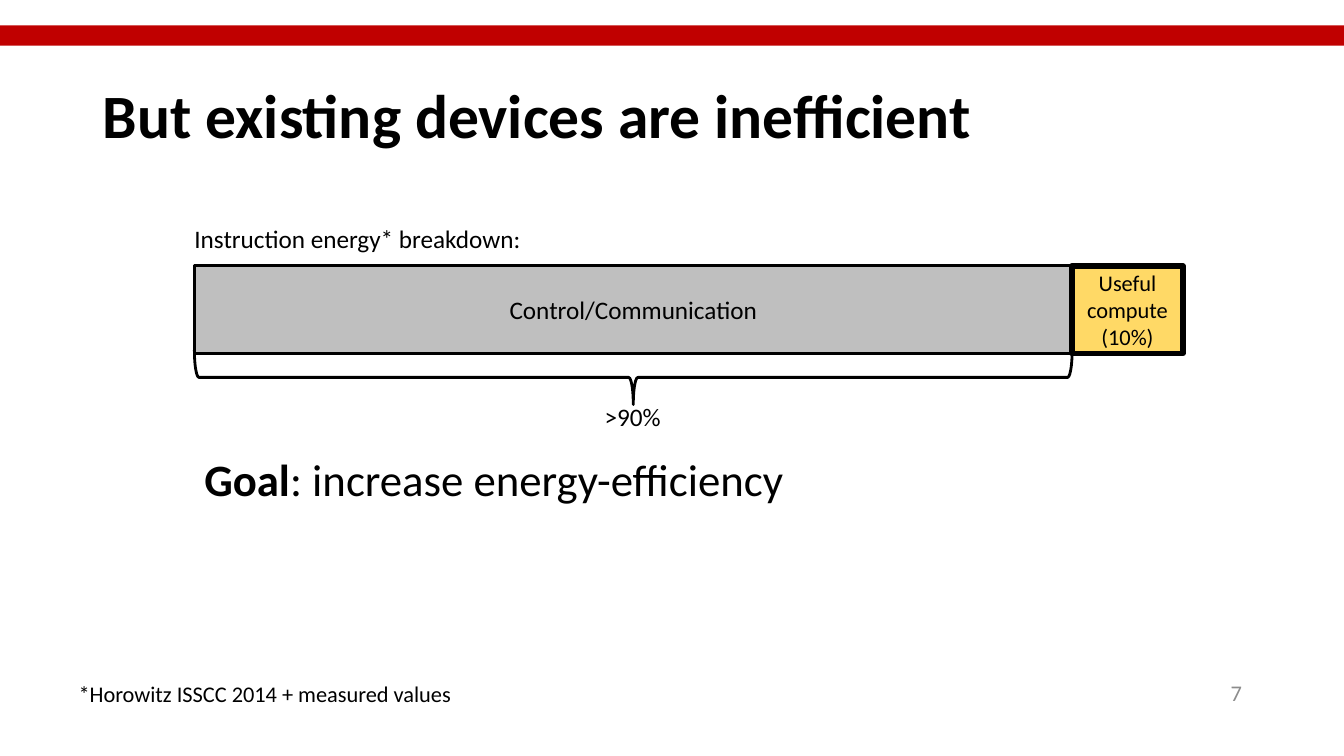
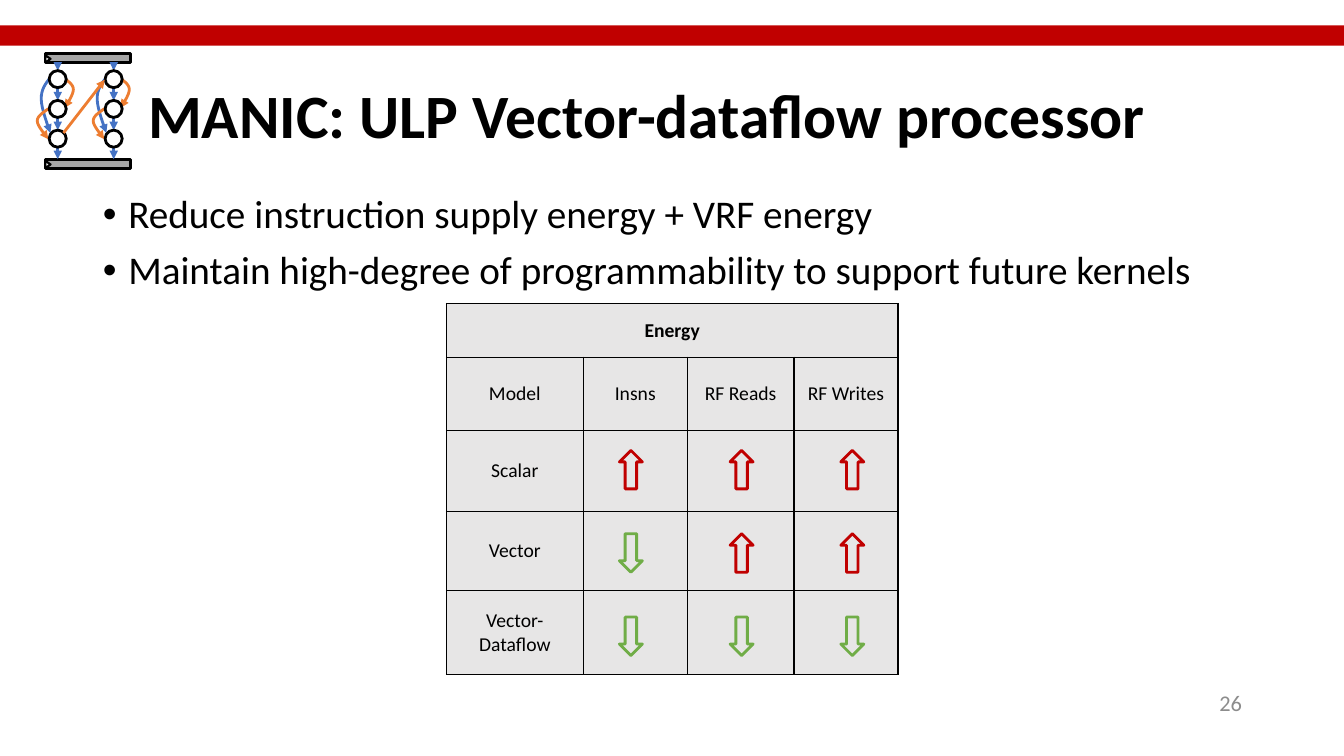
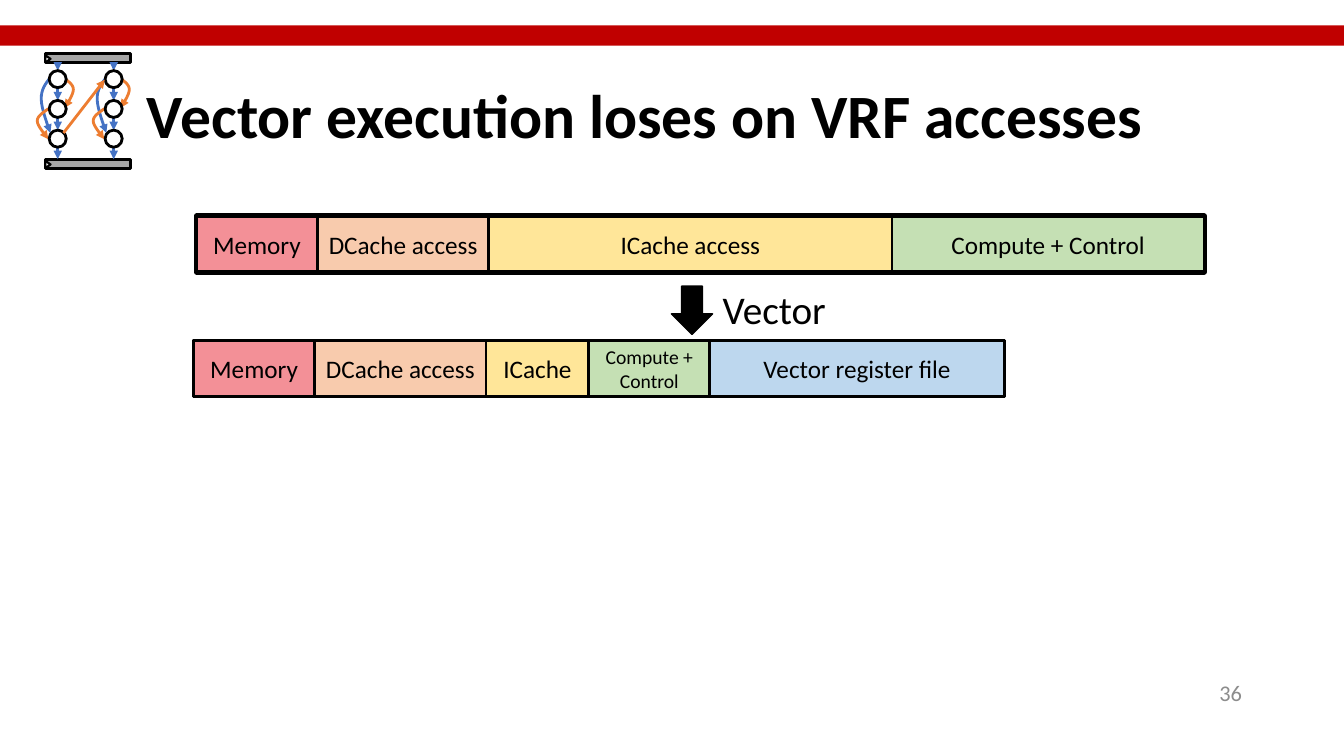
from lxml.etree import SubElement
from pptx import Presentation
from pptx.dml.color import RGBColor
from pptx.enum.shapes import MSO_CONNECTOR, MSO_SHAPE as SHAPE
from pptx.enum.text import MSO_ANCHOR as ANCHOR, MSO_AUTO_SIZE, PP_ALIGN as ALIGN
from pptx.oxml.ns import qn
from pptx.util import Cm, Pt

BLACK = RGBColor(0x00, 0x00, 0x00)
WHITE = RGBColor(0xFF, 0xFF, 0xFF)
RED = RGBColor(0xC0, 0x00, 0x00)
GREEN = RGBColor(0x70, 0xAD, 0x47)
BLUE = RGBColor(0x44, 0x72, 0xC4)
ORANGE = RGBColor(0xED, 0x7D, 0x31)
NUMBER_GRAY = RGBColor(0x8C, 0x8C, 0x8C)
CONTROL_GRAY = RGBColor(0xBF, 0xBF, 0xBF)
BAR_GRAY = RGBColor(0xA6, 0xA6, 0xA6)
MARKER_GRAY = RGBColor(0xF2, 0xF2, 0xF2)
TABLE_GRAY = RGBColor(0xE7, 0xE6, 0xE6)
GOLD = RGBColor(0xFF, 0xD9, 0x66)
PINK = RGBColor(0xF3, 0x90, 0x97)
PEACH = RGBColor(0xF8, 0xCB, 0xAD)
YELLOW = RGBColor(0xFF, 0xE6, 0x99)
LIGHT_GREEN = RGBColor(0xC5, 0xE0, 0xB4)
LIGHT_BLUE = RGBColor(0xBD, 0xD7, 0xEE)

SLIDE_WIDTH, SLIDE_HEIGHT = 33.87, 19.05
TITLE_ONLY, TITLE_AND_CONTENT = 5, 1


def bezier(start, control_1, control_2, end, steps=8):
    """Points along a cubic curve, without its start."""
    points = []
    for step in range(1, steps + 1):
        t = step / steps
        weights = ((1 - t) ** 3, 3 * t * (1 - t) ** 2, 3 * t * t * (1 - t), t ** 3)
        corners = (start, control_1, control_2, end)
        points.append(tuple(sum(w * corner[axis] for w, corner in zip(weights, corners))
                            for axis in (0, 1)))
    return points


class Deck:
    FONT = "Calibri"

    def __init__(self):
        self.presentation = Presentation()
        self.presentation.slide_width = Cm(SLIDE_WIDTH)
        self.presentation.slide_height = Cm(SLIDE_HEIGHT)
        self.slide = None

    # Shared frame: band, title and slide number
    def new_slide(self, title, number, layout=TITLE_ONLY, title_left=2.34, number_top=16.94):
        self.slide = self.presentation.slides.add_slide(
            self.presentation.slide_layouts[layout])
        self.shape(SHAPE.RECTANGLE, 0, 0.64, SLIDE_WIDTH, 0.51, fill=RED)
        frame = self.place(self.slide.shapes.title, title_left, 1.14, 29.21, 3.68)
        frame.vertical_anchor = ANCHOR.MIDDLE
        self.fill_text(frame, [title], 44, bold=True, line_spacing=0.9)
        self.label(str(number), 23.93, number_top, 7.62, 1.02, 16, color=NUMBER_GRAY,
                   wrap=True, align=ALIGN.RIGHT, anchor=ANCHOR.MIDDLE)

    def place(self, placeholder, left, top, width, height):
        box = {"left": left, "top": top, "width": width, "height": height}
        for name, value in box.items():
            setattr(placeholder, name, Cm(value))
        frame = placeholder.text_frame
        frame.word_wrap = True
        frame.auto_size = MSO_AUTO_SIZE.NONE
        return frame

    # Text
    def fill_text(self, frame, texts, size, color=BLACK, bold=False, lead=None,
                  **paragraph_format):
        paragraph_format = {"alignment": ALIGN.LEFT, **paragraph_format}
        space = paragraph_format.pop("space_between", 0)
        for index, text in enumerate(texts):
            paragraph = frame.paragraphs[0] if index == 0 else frame.add_paragraph()
            for name, value in paragraph_format.items():
                setattr(paragraph, name, value)
            paragraph.space_before = Pt(space if index else 0)
            runs = [(text, bold)]
            if lead and index == 0:
                runs.insert(0, (lead, True))
            for run_text, run_bold in runs:
                run = paragraph.add_run()
                run.text = run_text
                font_format = {"name": self.FONT, "size": Pt(size), "bold": run_bold}
                for name, value in font_format.items():
                    setattr(run.font, name, value)
                run.font.color.rgb = color

    def label(self, text, left, top, width, height, size, color=BLACK, wrap=False,
              align=ALIGN.LEFT, anchor=ANCHOR.TOP, lead=None):
        shape = self.slide.shapes.add_textbox(Cm(left), Cm(top), Cm(width), Cm(height))
        shape.text_frame.word_wrap = wrap
        shape.text_frame.vertical_anchor = anchor
        self.fill_text(shape.text_frame, [text], size, color, lead=lead, alignment=align)

    def bullets(self, texts, left, top, width, height):
        frame = self.place(self.slide.placeholders[1], left, top, width, height)
        self.fill_text(frame, texts, 28, line_spacing=0.9, space_between=10)
        for paragraph in frame.paragraphs:
            properties = paragraph._p.get_or_add_pPr()
            properties.set("marL", str(Cm(0.64)))
            properties.set("indent", str(-Cm(0.64)))

    # Shapes and lines
    def outline(self, shape, fill=None, line=None, weight=2):
        shape.shadow.inherit = False
        if fill is None:
            shape.fill.background()
        else:
            shape.fill.solid()
            shape.fill.fore_color.rgb = fill
        if line is None:
            shape.line.fill.background()
        else:
            shape.line.color.rgb = line
            shape.line.width = Pt(weight)

    def shape(self, kind, left, top, width, height, fill=None, line=None, weight=2,
              texts=(), size=18, margin=0.25, rotation=0):
        shape = self.slide.shapes.add_shape(kind, Cm(left), Cm(top), Cm(width), Cm(height))
        self.outline(shape, fill, line, weight)
        shape.rotation = rotation
        if texts:
            frame = shape.text_frame
            frame.word_wrap = True
            frame.vertical_anchor = ANCHOR.MIDDLE
            for side in ("left", "right", "top", "bottom"):
                setattr(frame, f"margin_{side}", Cm(margin if side in ("left", "right") else 0))
            self.fill_text(frame, texts, size, alignment=ALIGN.CENTER)

    def arrowhead(self, shape):
        SubElement(shape._element.spPr.find(qn("a:ln")), qn("a:tailEnd"), type="triangle")

    def arrow(self, start, end, color):
        line = self.slide.shapes.add_connector(
            MSO_CONNECTOR.STRAIGHT, *(Cm(value) for value in (*start, *end)))
        line.line.color.rgb = color
        line.line.width = Pt(2)
        self.arrowhead(line)
        SubElement(line._element.spPr, qn("a:effectLst"))

    def curved_arrow(self, points, color, shift=0):
        """Two joined cubic curves, given by seven points."""
        curve_points = [points[0]] + bezier(*points[:4]) + bezier(*points[3:])
        start, *others = [(Cm(x + shift), Cm(y)) for x, y in curve_points]
        builder = self.slide.shapes.build_freeform(*start)
        builder.add_line_segments(others, close=False)
        curve = builder.convert_to_shape()
        self.outline(curve, line=color)
        self.arrowhead(curve)

    # Table
    def table(self, left, top, columns, rows, texts):
        table = self.slide.shapes.add_table(
            len(rows), len(columns), Cm(left), Cm(top), Cm(sum(columns)), Cm(sum(rows))).table
        for column, width in zip(table.columns, columns):
            column.width = Cm(width)
        for row, height in zip(table.rows, rows):
            row.height = Cm(height)
        for row_index in range(len(rows)):
            for column_index in range(len(columns)):
                cell = table.cell(row_index, column_index)
                self.borders(cell)
                cell.fill.solid()
                cell.fill.fore_color.rgb = TABLE_GRAY
                cell.vertical_anchor = ANCHOR.MIDDLE
                if column_index < len(texts[row_index]):
                    self.fill_text(cell.text_frame, [texts[row_index][column_index]], 14,
                                   bold=row_index == 0, alignment=ALIGN.CENTER)
        table.cell(0, 0).merge(table.cell(0, len(columns) - 1))

    def borders(self, cell):
        properties = cell._tc.get_or_add_tcPr()
        for edge in ("a:lnL", "a:lnR", "a:lnT", "a:lnB"):
            line = SubElement(properties, qn(edge), w=str(Pt(1)))
            SubElement(SubElement(line, qn("a:solidFill")), qn("a:srgbClr"), val=str(BLACK))

    # Energy bar: a frame and adjoining segments of (width, fill, text, size)
    def energy_bar(self, left, top, segments, frame_weight):
        height = 1.4
        self.shape(SHAPE.RECTANGLE, left, top, sum(segment[0] for segment in segments),
                   height, WHITE, BLACK, frame_weight)
        for width, fill, text, size in segments:
            self.shape(SHAPE.RECTANGLE, left, top, width, height, fill, BLACK,
                       texts=[text], size=size, margin=0)
            left += width

    # Small dataflow diagram beside the title
    def dataflow_diagram(self):
        node_left, node_top, node_size, node_step = 1.24, 1.78, 0.43, 0.75
        column_step, bar_tops = 1.41, (1.35, 4.01)
        blue_curve = [(1.27, 1.96), (1.14, 2.11), (1.04, 2.26), (1.04, 2.49),
                      (1.04, 2.74), (1.22, 3.2), (1.27, 3.35)]
        orange_curves = [
            [(1.22, 2.74), (1.09, 2.84), (0.94, 2.92), (0.94, 3.05),
             (0.94, 3.18), (1.17, 3.43), (1.22, 3.51)],
            [(1.63, 1.98), (1.73, 2.06), (1.85, 2.13), (1.85, 2.26),
             (1.85, 2.39), (1.68, 2.64), (1.63, 2.72)]]
        for top in bar_tops:
            self.shape(SHAPE.RECTANGLE, 1.14, top, 2.16, 0.23, BAR_GRAY, BLACK)
            self.shape(SHAPE.ISOSCELES_TRIANGLE, 1.12, top + 0.07, 0.18, 0.13,
                       MARKER_GRAY, BLACK, 1.5, rotation=90)
        node_tops = [node_top + index * node_step for index in range(3)]
        starts = [1.65] + [top + node_size for top in node_tops]
        ends = node_tops + [bar_tops[1]]
        for shift in (0, column_step):
            x = node_left + node_size / 2 + shift
            for start, end in zip(starts, ends):
                self.arrow((x, start), (x, end), BLUE)
            self.curved_arrow(blue_curve, BLUE, shift)
            for curve in orange_curves:
                self.curved_arrow(curve, ORANGE, shift)
            for top in node_tops:
                self.shape(SHAPE.OVAL, node_left + shift, top, node_size, node_size,
                           WHITE, BLACK)
        self.arrow((1.6, 3.35), (2.64, 2.01), ORANGE)


def energy_breakdown_slide(deck):
    deck.new_slide("But existing devices are inefficient", 7)
    left, top, width, height = 4.9, 6.7, 22.12, 2.21
    deck.label("Instruction energy* breakdown:", 4.65, 5.51, 8.84, 1.02, 18)
    deck.shape(SHAPE.RECTANGLE, left, top, width, height, CONTROL_GRAY, BLACK,
               texts=["Control/Communication"])
    deck.shape(SHAPE.RECTANGLE, left + width, top, 2.79, height, GOLD, BLACK, 4,
               texts=["Useful compute", "(10%)"], size=16)
    # Brace under the control part, turned to point down
    depth, middle = 1.37, 9.51
    deck.shape(SHAPE.LEFT_BRACE, left + (width - depth) / 2, middle - width / 2,
               depth, width, line=BLACK, rotation=270)
    deck.label(">90%", 14.99, 9.98, 1.93, 1.02, 18)
    deck.label(": increase energy-efficiency", left, 11.25, 15.27, 1.63, 32, lead="Goal")
    deck.label("*Horowitz ISSCC 2014 + measured values", 1.73, 17.02, 10.03, 0.94, 16)


def processor_slide(deck):
    deck.new_slide("MANIC: ULP Vector-dataflow processor", 26, TITLE_AND_CONTENT,
                   title_left=3.48, number_top=17.2)
    deck.bullets(["Reduce instruction supply energy + VRF energy",
                  "Maintain high-degree of programmability to support future kernels"],
                 2.34, 4.78, 29.21, 3.02)
    deck.table(11.25, 7.65, [3.45, 2.62, 2.69, 2.62], [1.35, 1.85, 2.03, 2.01, 2.11],
               [["Energy"], ["Model", "Insns", "RF Reads", "RF Writes"],
                ["Scalar"], ["Vector"], ["Vector-Dataflow"]])
    # Trend arrows, one string for each model
    kinds = {"U": (SHAPE.UP_ARROW, RED), "D": (SHAPE.DOWN_ARROW, GREEN)}
    for row, trends in enumerate(("UUU", "DUU", "DDD")):
        for column, trend in enumerate(trends):
            kind, color = kinds[trend]
            deck.shape(kind, 15.61 + 2.79 * column, 11.35 + 2.1 * row, 0.58, 0.97, line=color)
    deck.dataflow_diagram()


def vector_energy_slide(deck):
    deck.new_slide("Vector execution loses on VRF accesses", 36, title_left=3.45)
    shared = [(3.05, PINK, "Memory", 18), (4.32, PEACH, "DCache access", 18)]
    deck.energy_bar(4.95, 5.45, shared + [
        (10.16, YELLOW, "ICache access", 18),
        (7.87, LIGHT_GREEN, "Compute + Control", 18)], frame_weight=4)
    deck.shape(SHAPE.DOWN_ARROW, 16.92, 7.21, 1.04, 1.22, BLACK, BLACK, 1)
    deck.label("Vector", 17.96, 7.06, 3.15, 1.45, 28)
    deck.energy_bar(4.88, 8.59, shared + [
        (2.59, YELLOW, "ICache", 18),
        (3.05, LIGHT_GREEN, "Compute + Control", 14),
        (7.42, LIGHT_BLUE, "Vector register file", 18)], frame_weight=2)
    deck.dataflow_diagram()


def main():
    deck = Deck()
    energy_breakdown_slide(deck)
    processor_slide(deck)
    vector_energy_slide(deck)
    deck.presentation.save("out.pptx")


if __name__ == "__main__":
    main()
